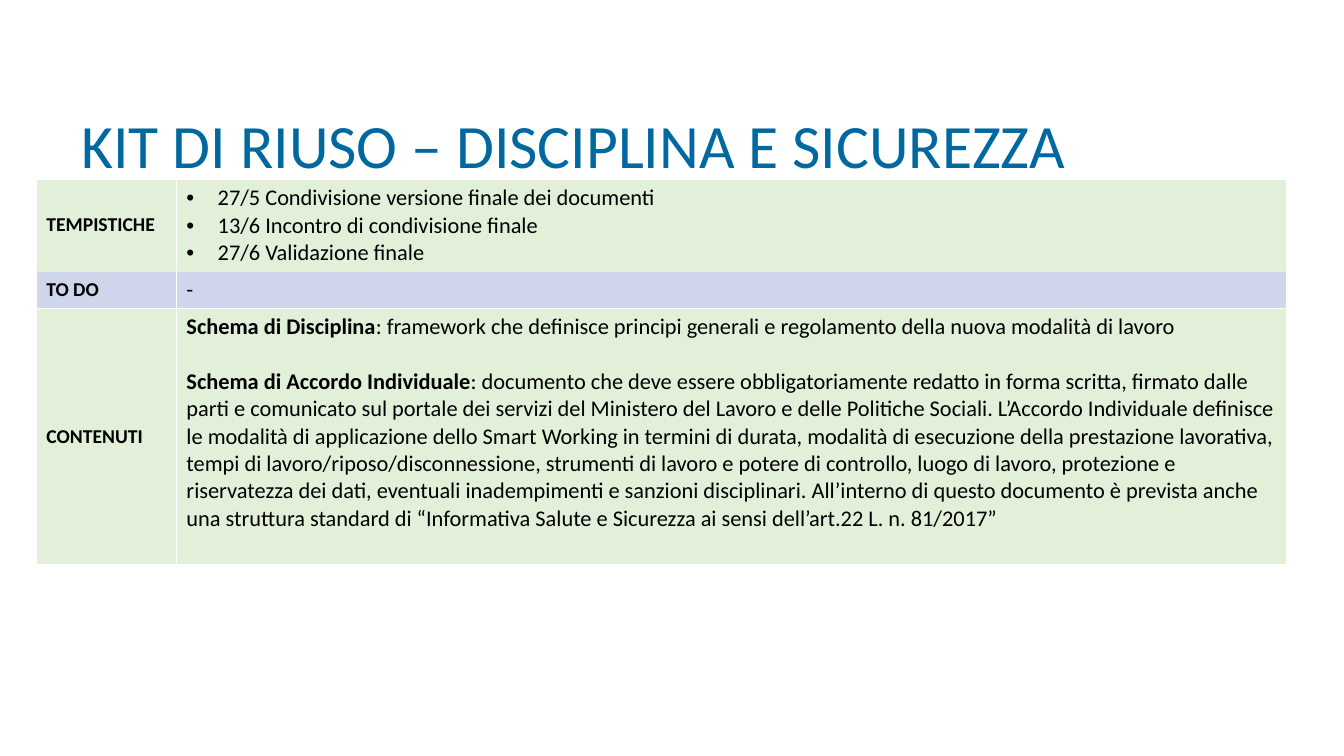
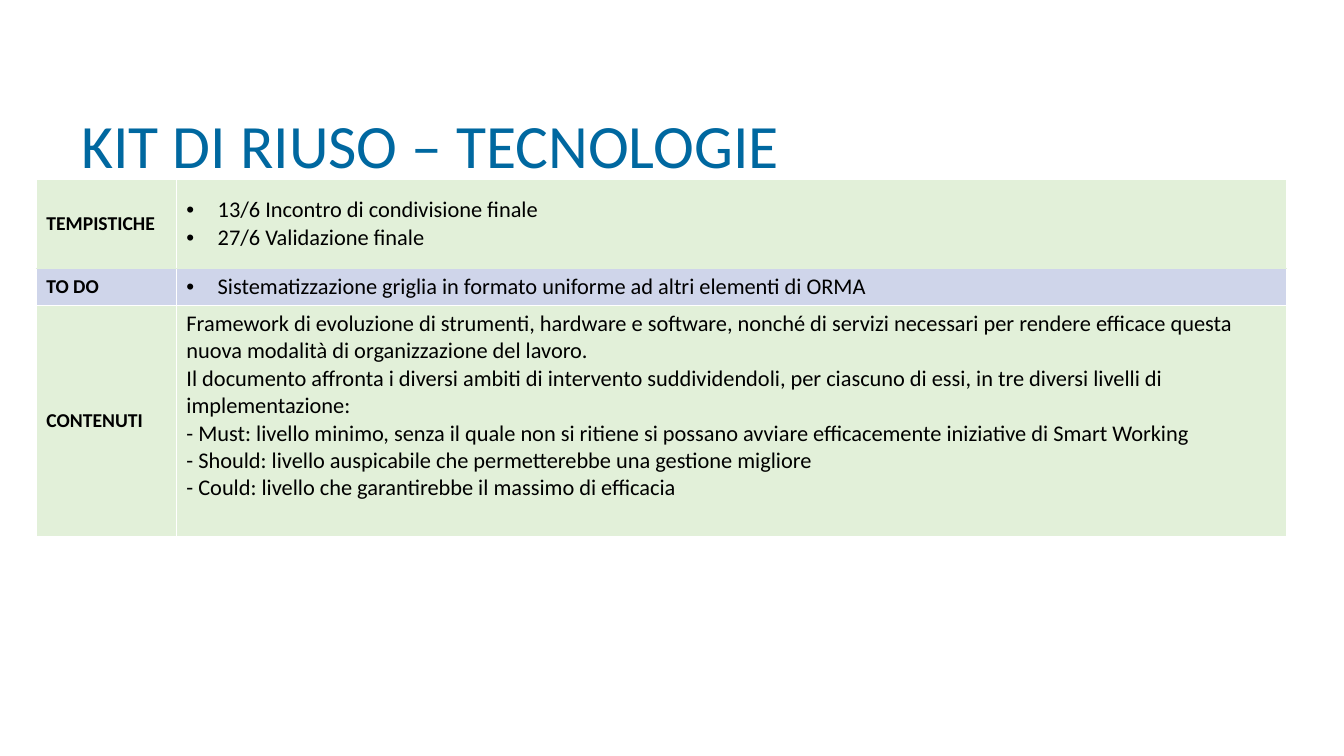
from dataclasses import dataclass

from lxml import etree
from pptx import Presentation
from pptx import util as u
from pptx.dml import color
from pptx.enum import text
from pptx.oxml import ns

FONT = "Calibri"
COLORS = {
    "title": "0068A0",
    "text": "000000",
    "green": "E2F0D9",
    "lilac": "CFD5EA",
    "border": "FFFFFF",
}
LABELS = ("TEMPISTICHE", "TO DO", "CONTENUTI")
ROW_FILLS = ("green", "lilac", "green")
COLUMN_WIDTHS = (1.39, 11.01)
TABLE_LEFT, TABLE_TOP = 0.36, 1.78
BULLET_INDENT = u.Inches(0.31)


@dataclass(frozen=True)
class Entry:
    body: str
    lead: str = ""
    bullet: bool = False
    space_after: float = 0


@dataclass(frozen=True)
class Row:
    height: float
    entries: tuple[Entry, ...]
    anchor: text.MSO_ANCHOR = text.MSO_ANCHOR.TOP


@dataclass(frozen=True)
class KitSlide:
    title: str
    rows: tuple[Row, ...]


def bullets(*lines: str) -> tuple[Entry, ...]:
    return tuple(Entry(line, bullet=True) for line in lines)


KIT_SLIDES = (
    KitSlide(
        "KIT DI RIUSO – DISCIPLINA E SICUREZZA",
        (
            Row(0.91, bullets(
                "27/5 Condivisione versione finale dei documenti",
                "13/6 Incontro di condivisione finale",
                "27/6 Validazione finale",
            ), text.MSO_ANCHOR.MIDDLE),
            Row(0.37, (Entry("-"),)),
            Row(2.54, (
                Entry(
                    ": framework che definisce principi generali e regolamento "
                    "della nuova modalità di lavoro",
                    lead="Schema di Disciplina",
                    space_after=19.5,
                ),
                Entry(
                    ": documento che deve essere obbligatoriamente redatto in forma "
                    "scritta, firmato dalle parti e comunicato sul portale dei servizi "
                    "del Ministero del Lavoro e delle Politiche Sociali. L’Accordo "
                    "Individuale definisce le modalità di applicazione dello Smart "
                    "Working in termini di durata, modalità di esecuzione della "
                    "prestazione lavorativa, tempi di lavoro/riposo/disconnessione, "
                    "strumenti di lavoro e potere di controllo, luogo di lavoro, "
                    "protezione e riservatezza dei dati, eventuali inadempimenti e "
                    "sanzioni disciplinari. All’interno di questo documento è prevista "
                    "anche una struttura standard di “Informativa Salute e Sicurezza "
                    "ai sensi dell’art.22 L. n. 81/2017”",
                    lead="Schema di Accordo Individuale",
                ),
            )),
        ),
    ),
    KitSlide(
        "KIT DI RIUSO – TECNOLOGIE",
        (
            Row(0.88, bullets(
                "13/6 Incontro di condivisione finale",
                "27/6 Validazione finale",
            ), text.MSO_ANCHOR.MIDDLE),
            Row(0.36, bullets(
                "Sistematizzazione griglia in formato uniforme ad altri elementi di ORMA",
            )),
            Row(2.3, (
                Entry(
                    "Framework di evoluzione di strumenti, hardware e software, nonché "
                    "di servizi necessari per rendere efficace questa nuova modalità di "
                    "organizzazione del lavoro."
                ),
                Entry(
                    "Il documento affronta i diversi ambiti di intervento "
                    "suddividendoli, per ciascuno di essi, in tre diversi livelli di "
                    "implementazione:"
                ),
                Entry(
                    "- Must: livello minimo, senza il quale non si ritiene si possano "
                    "avviare efficacemente iniziative di Smart Working"
                ),
                Entry("- Should: livello auspicabile che permetterebbe una gestione migliore"),
                Entry("- Could: livello che garantirebbe il massimo di efficacia"),
            )),
        ),
    ),
)


def rgb(name: str) -> color.RGBColor:
    return color.RGBColor.from_string(COLORS[name])


def format_run(run, size: float, color_name: str = "text", bold: bool = False) -> None:
    run.font.name = FONT
    run.font.size = u.Pt(size)
    run.font.bold = bold
    run.font.color.rgb = rgb(color_name)


def add_title(slide, title: str) -> None:
    shape = slide.shapes.add_textbox(
        u.Inches(0.71), u.Inches(0.4), u.Inches(11.52), u.Inches(1.45)
    )
    frame = shape.text_frame
    frame.word_wrap = True
    frame.vertical_anchor = text.MSO_ANCHOR.BOTTOM
    frame.text = title
    paragraph = frame.paragraphs[0]
    paragraph.line_spacing = 0.9
    format_run(paragraph.runs[0], 44, "title")


def set_borders(cell, top: str, bottom: str) -> None:
    properties = cell._tc.get_or_add_tcPr()
    sides = {"lnL": "border", "lnR": "border", "lnT": top, "lnB": bottom}
    for position, (side, color_name) in enumerate(sides.items()):
        line = etree.Element(ns.qn(f"a:{side}"), w=str(u.Pt(1)))
        fill = etree.SubElement(line, ns.qn("a:solidFill"))
        etree.SubElement(fill, ns.qn("a:srgbClr"), val=COLORS[color_name])
        properties.insert(position, line)


def set_bullet(paragraph) -> None:
    properties = paragraph._p.get_or_add_pPr()
    properties.set("marL", str(BULLET_INDENT))
    properties.set("indent", str(-BULLET_INDENT))
    etree.SubElement(properties, ns.qn("a:buFont"), typeface="Arial")
    etree.SubElement(properties, ns.qn("a:buChar"), char="•")


def write_entry(paragraph, entry: Entry) -> None:
    paragraph.text = entry.lead or entry.body
    format_run(paragraph.runs[0], 16, bold=bool(entry.lead))
    if entry.lead:
        run = paragraph.add_run()
        run.text = entry.body
        format_run(run, 16)
    if entry.space_after:
        paragraph.space_after = u.Pt(entry.space_after)
    if entry.bullet:
        set_bullet(paragraph)


def add_kit_table(slide, rows: tuple[Row, ...]) -> None:
    table = slide.shapes.add_table(
        len(rows), len(COLUMN_WIDTHS),
        u.Inches(TABLE_LEFT), u.Inches(TABLE_TOP),
        u.Inches(sum(COLUMN_WIDTHS)), u.Inches(sum(row.height for row in rows)),
    ).table
    table.first_row = False
    table.horz_banding = False
    for column, width in zip(table.columns, COLUMN_WIDTHS):
        column.width = u.Inches(width)
    for index, (row, label, fill) in enumerate(zip(rows, LABELS, ROW_FILLS)):
        table.rows[index].height = u.Inches(row.height)
        label_cell, content_cell = table.cell(index, 0), table.cell(index, 1)
        for cell in (label_cell, content_cell):
            cell.fill.solid()
            cell.fill.fore_color.rgb = rgb(fill)
            set_borders(
                cell,
                top="green" if index == 1 else "border",
                bottom="green" if index == 0 else "border",
            )
        label_cell.vertical_anchor = text.MSO_ANCHOR.MIDDLE
        label_cell.text_frame.text = label
        format_run(label_cell.text_frame.paragraphs[0].runs[0], 14, bold=True)
        content_cell.vertical_anchor = row.anchor
        frame = content_cell.text_frame
        for number, entry in enumerate(row.entries):
            write_entry(frame.add_paragraph() if number else frame.paragraphs[0], entry)


def main() -> None:
    presentation = Presentation()
    presentation.slide_width = u.Inches(13.33)
    presentation.slide_height = u.Inches(7.5)
    for kit_slide in KIT_SLIDES:
        slide = presentation.slides.add_slide(presentation.slide_layouts[6])
        add_title(slide, kit_slide.title)
        add_kit_table(slide, kit_slide.rows)
    presentation.save("out.pptx")


if __name__ == "__main__":
    main()
